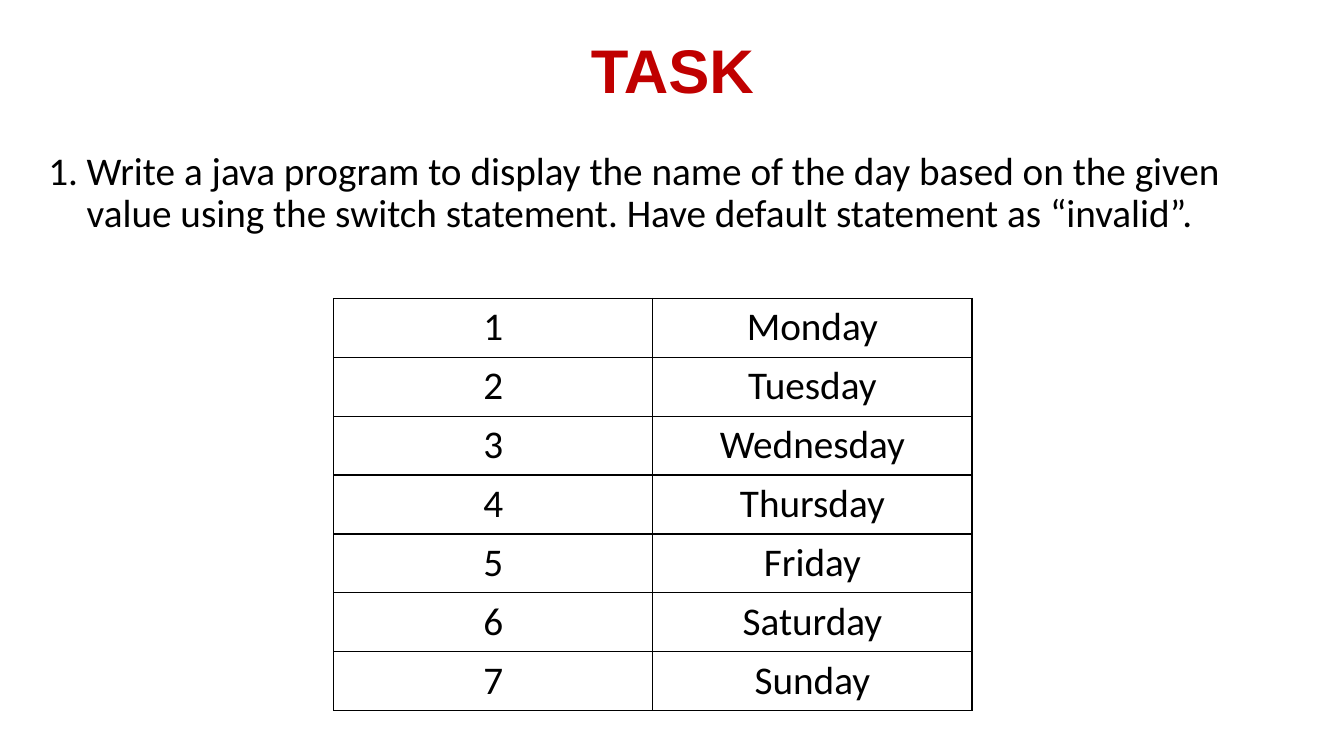
from lxml import etree
from pptx import Presentation
from pptx.dml.color import RGBColor
from pptx.enum.text import MSO_ANCHOR, PP_ALIGN
from pptx.oxml.ns import qn
from pptx.util import Inches, Pt

CENTER = PP_ALIGN.CENTER
LEFT = PP_ALIGN.LEFT
MIDDLE = MSO_ANCHOR.MIDDLE
TOP = MSO_ANCHOR.TOP
BLACK = "000000"
RED = "C00000"
DAYS = ["Monday", "Tuesday", "Wednesday", "Thursday", "Friday", "Saturday", "Sunday"]
QUESTION = ("Write a java program to display the name of the day based on the given "
            "value using the switch statement. Have default statement as “invalid”.")


def rgb(value):
    """Turn a hex string into a colour."""
    return RGBColor.from_string(value)


def write(tf, text, size, font, color, align, bold=False):
    """Set one formatted paragraph and return it."""
    tf.text = text
    p = tf.paragraphs[0]
    p.alignment = align
    r = p.runs[0]
    r.font.size = Pt(size)
    r.font.name = font
    r.font.bold = bold
    r.font.color.rgb = rgb(color)
    return p


def place(sp, left, top, width, height):
    """Move a placeholder into its box."""
    sp.left, sp.top = Inches(left), Inches(top)
    sp.width, sp.height = Inches(width), Inches(height)


def add_title(s, left, top, width, height):
    """Fill the title placeholder."""
    sp = s.shapes.title
    place(sp, left, top, width, height)
    sp.text_frame.vertical_anchor = MIDDLE
    p = write(sp.text_frame, "TASK", 44, "Arial", RED, CENTER, True)
    p.line_spacing = 0.9


def add_question(s, left, top, width, height):
    """Fill the body placeholder with the numbered question."""
    sp = s.placeholders[1]
    place(sp, left, top, width, height)
    sp.text_frame.vertical_anchor = TOP
    p = write(sp.text_frame, QUESTION, 28, "Calibri", BLACK, LEFT)
    p.line_spacing = 0.9
    p.space_before = Pt(10)
    pPr = p._p.get_or_add_pPr()
    pPr.set("marL", str(Inches(0.38)))
    pPr.set("indent", str(-Inches(0.38)))
    etree.SubElement(pPr, qn("a:buFont"), typeface="+mj-lt")
    etree.SubElement(pPr, qn("a:buAutoNum"), type="arabicPeriod")


def set_borders(cell):
    """Draw a thin black line on each side of a cell."""
    tcPr = cell._tc.get_or_add_tcPr()
    for i, side in enumerate(("lnL", "lnR", "lnT", "lnB")):
        ln = etree.Element(qn(f"a:{side}"), w=str(Pt(1)))
        fill = etree.SubElement(ln, qn("a:solidFill"))
        etree.SubElement(fill, qn("a:srgbClr"), val=BLACK)
        tcPr.insert(i, ln)


def add_day_table(s, left, top, width, height):
    """Add the table of day numbers and names."""
    table = s.shapes.add_table(len(DAYS), 2, Inches(left), Inches(top),
                               Inches(width), Inches(height)).table
    table.first_row = False
    table.horz_banding = False
    for i, day in enumerate(DAYS):
        for j, text in enumerate((str(i + 1), day)):
            cell = table.cell(i, j)
            cell.fill.background()
            write(cell.text_frame, text, 28, "Calibri", BLACK, CENTER)
            set_borders(cell)


def main():
    """Build and save the task slide."""
    prs = Presentation()
    prs.slide_width, prs.slide_height = Inches(13.33), Inches(7.5)
    s = prs.slides.add_slide(prs.slide_layouts[1])
    add_title(s, 0.92, 0, 11.5, 1.45)
    add_question(s, 0.38, 1.45, 12.58, 5.05)
    add_day_table(s, 3.31, 2.96, 6.33, 4.09)
    prs.save("out.pptx")


if __name__ == "__main__":
    main()
